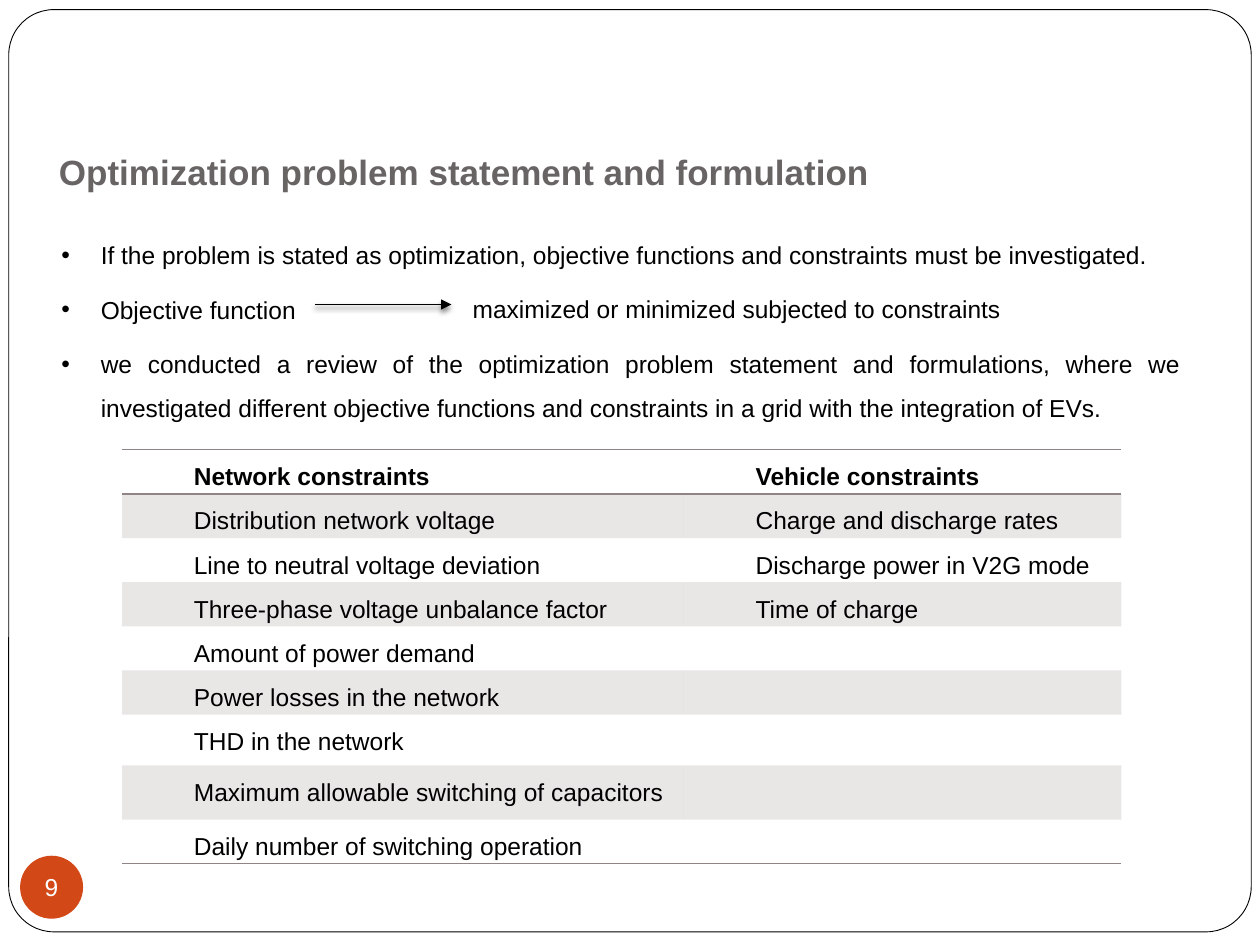
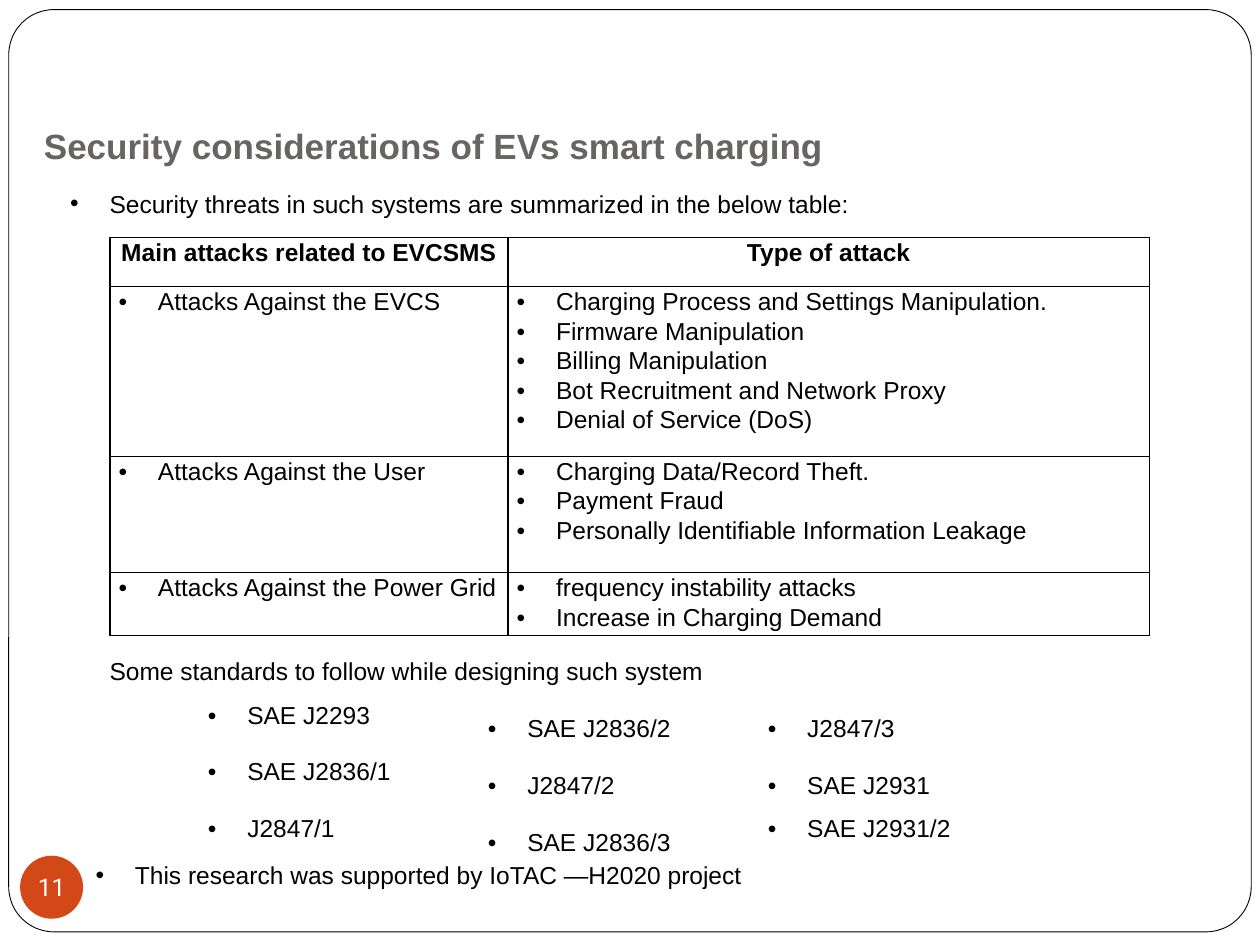
from lxml.etree import SubElement
from pptx import Presentation
from pptx.dml.color import RGBColor
from pptx.enum.shapes import MSO_CONNECTOR as Connector, MSO_SHAPE as Shape
from pptx.enum.text import MSO_ANCHOR as Anchor, MSO_AUTO_SIZE as AutoSize, PP_ALIGN as Align
from pptx.oxml.ns import qn
from pptx.util import Pt

COLORS = {"black": "000000", "white": "FFFFFF", "badge": "D34817",
          "title": "696464", "rule": "918485"}
NO_STYLE = "{2D5ABB26-0587-4C30-8999-92F81FD0307C}"
HANG = 22.5

OPTIMIZATION = {
    "number": "9", "number_font": "Arial",
    "title": "Optimization problem statement and formulation",
    "title_at": (-9.4, 70.6, 633, 39),
    "points": [
        "If the problem is stated as optimization, objective functions and "
        "constraints must be investigated.",
        "Objective function",
        "we conducted a review of the optimization problem statement and formulations, "
        "where we investigated different objective functions and constraints in a grid "
        "with the integration of EVs.",
    ],
    "goal": "maximized or minimized subjected to constraints",
    "constraints": [
        ("Network constraints", "Vehicle constraints"),
        ("Distribution network voltage", "Charge and discharge rates"),
        ("Line to neutral voltage deviation", "Discharge power in V2G mode"),
        ("Three-phase voltage unbalance factor", "Time of charge"),
        ("Amount of power demand", ""),
        ("Power losses in the network", ""),
        ("THD in the network", ""),
        ("Maximum allowable switching of capacitors", ""),
        ("Daily number of switching operation", ""),
    ],
}
SECURITY = {
    "number": "11", "number_font": "Roboto",
    "title": "Security considerations of EVs smart charging",
    "title_at": (-18, 55.4, 531, 39),
    "intro": "Security threats in such systems are summarized in the below table:",
    "attack_header": ("Main attacks related to EVCSMS", "Type of attack"),
    "attacks": [
        ("Attacks Against the EVCS",
         ["Charging Process and Settings Manipulation.", "Firmware Manipulation",
          "Billing Manipulation", "Bot Recruitment and Network Proxy",
          "Denial of Service (DoS)"]),
        ("Attacks Against the User",
         ["Charging Data/Record Theft.", "Payment Fraud",
          "Personally Identifiable Information Leakage"]),
        ("Attacks Against the Power Grid",
         ["frequency instability attacks", "Increase in Charging Demand"]),
    ],
    "standards_intro": "Some standards to follow while designing such system",
    "standards": [
        ("SAE J2293", "SAE J2836/2", "J2847/3"),
        ("SAE J2836/1", "J2847/2", "SAE J2931"),
        ("J2847/1", "SAE J2836/3", "SAE J2931/2"),
    ],
    "support": "This research was supported by IoTAC —H2020 project",
}
BODY = {"align": Align.JUSTIFY, "spacing": 1.5, "after": 6}


def rgb(name):
    return RGBColor.from_string(COLORS[name])


def write(frame, lines, size=14, font="Arial", color="black", bold=False, align=Align.LEFT,
          spacing=1.0, after=0, bullet=False, left=0, first=0):
    """Fill a text frame with one paragraph per line."""
    for index, line in enumerate([lines] if isinstance(lines, str) else lines):
        para = frame.paragraphs[0] if index == 0 else frame.add_paragraph()
        props = para._p.get_or_add_pPr()
        props.set("marL", str(Pt(HANG if bullet else left)))
        props.set("indent", str(Pt(-HANG if bullet else first)))
        if bullet:
            SubElement(props, qn("a:buFont"), typeface="Arial")
            SubElement(props, qn("a:buChar"), char="•")
        para.alignment = align
        para.line_spacing = spacing
        para.space_after = Pt(after)
        span = para.add_run()
        span.text = line
        span.font.size = Pt(size)
        span.font.name = font
        span.font.bold = bold
        span.font.color.rgb = rgb(color)


def add_text(page, place, lines, **style):
    box = page.shapes.add_textbox(*map(Pt, place))
    box.text_frame.word_wrap = True
    box.text_frame.auto_size = AutoSize.SHAPE_TO_FIT_TEXT
    write(box.text_frame, lines, **style)


def add_plain_shape(page, kind, place, fill):
    shape = page.shapes.add_shape(kind, *map(Pt, place))
    shape.shadow.inherit = False
    shape.fill.solid()
    shape.fill.fore_color.rgb = rgb(fill)
    shape.line.fill.background()
    return shape


def add_page(deck, content):
    """Add a slide with the frame, number badge and title that all slides share."""
    page = deck.slides.add_slide(deck.slide_layouts[6])
    border = add_plain_shape(page, Shape.ROUNDED_RECTANGLE, (5, 5.5, 710, 527), "white")
    border.adjustments[0] = 0.049
    border.line.color.rgb = rgb("black")
    border.line.width = Pt(0.5)
    badge = add_plain_shape(page, Shape.OVAL, (11.5, 489, 36, 36), "badge")
    frame = badge.text_frame
    frame.margin_left = frame.margin_right = frame.margin_top = frame.margin_bottom = 0
    frame.vertical_anchor = Anchor.MIDDLE
    frame.word_wrap = False
    write(frame, content["number"], font=content["number_font"], color="white",
          align=Align.CENTER)
    add_text(page, content["title_at"], content["title"], size=20, bold=True, color="title",
             align=Align.JUSTIFY, spacing=1.5, after=3, left=36)
    return page


def add_grid(page, left, top, widths, heights, tight=True):
    """Add an unstyled table; tight cells have small side margins only."""
    holder = page.shapes.add_table(len(heights), len(widths), Pt(left), Pt(top),
                                   Pt(sum(widths)), Pt(sum(heights)))
    table = holder.table
    table.first_row = table.horz_banding = False
    table._tbl.tblPr.find(qn("a:tableStyleId")).text = NO_STYLE
    for column, width in zip(table.columns, widths):
        column.width = Pt(width)
    for row, height in zip(table.rows, heights):
        row.height = Pt(height)
    for cell in table.iter_cells():
        cell.fill.background()
        if tight:
            cell.margin_left = cell.margin_right = Pt(5)
            cell.margin_top = cell.margin_bottom = 0
    return table


def rule_cell(cell, sides, color):
    """Draw 1 pt borders on the given sides, a string of L, R, T and B in that order."""
    props = cell._tc.get_or_add_tcPr()
    for position, side in enumerate(sides):
        line = props.makeelement(qn(f"a:ln{side}"), {"w": str(Pt(1))})
        SubElement(SubElement(line, qn("a:solidFill")), qn("a:srgbClr"), val=COLORS[color])
        props.insert(position, line)


def shade_cell(cell):
    cell.fill.solid()
    cell.fill.fore_color.rgb = rgb("rule")
    tint = cell._tc.tcPr.find(".//" + qn("a:solidFill") + "/" + qn("a:srgbClr"))
    SubElement(tint, qn("a:alpha"), val="20000")


def add_arrow(page, start, end, y):
    arrow = page.shapes.add_connector(Connector.STRAIGHT, Pt(start), Pt(y), Pt(end), Pt(y))
    arrow.line.color.rgb = rgb("black")
    arrow.line.width = Pt(1)
    SubElement(arrow.line._get_or_add_ln(), qn("a:tailEnd"), type="triangle")
    effects = SubElement(arrow._element.spPr, qn("a:effectLst"))
    shadow = SubElement(effects, qn("a:outerShdw"), blurRad=str(Pt(3)), dist=str(Pt(2)),
                        dir="5400000", rotWithShape="0")
    SubElement(SubElement(shadow, qn("a:srgbClr"), val=COLORS["black"]),
               qn("a:alpha"), val="50000")


def build_optimization(deck):
    content = OPTIMIZATION
    page = add_page(deck, content)
    add_text(page, (28, 125.3, 654, 118), content["points"], bullet=True, **BODY)
    add_text(page, (263, 156.3, 400, 32), content["goal"], **BODY)

    rows = content["constraints"]
    heights = [25.2] * 6 + [29, 31, 25.2]
    table = add_grid(page, 69.8, 257, (321, 250), heights)
    last = len(rows) - 1
    for index, row in enumerate(rows):
        for column, label in enumerate(row):
            cell = table.cell(index, column)
            if label:
                write(cell.text_frame, label, bold=index == 0, align=Align.JUSTIFY,
                      spacing=1.5, after=12, first=36)
            if index in (0, last):
                rule_cell(cell, "TB" if index == 0 else "B", "rule")
            if index % 2:
                shade_cell(cell)
    add_arrow(page, 180, 258, 174)


def build_security(deck):
    content = SECURITY
    page = add_page(deck, content)
    add_text(page, (33, 95.8, 636, 30), content["intro"], bullet=True, **BODY)

    attacks = add_grid(page, 62.8, 135.8, (227.5, 366.5), (28, 97, 66.5, 36))
    for index, row in enumerate([content["attack_header"], *content["attacks"]]):
        header = index == 0
        for column, lines in enumerate(row):
            cell = attacks.cell(index, column)
            write(cell.text_frame, lines, bold=header, bullet=not header, spacing=1.07,
                  align=Align.CENTER if header else Align.LEFT)
            rule_cell(cell, "LRTB", "black")

    add_text(page, (19.5, 363, 636, 30), content["standards_intro"], first=36, **BODY)
    standards = add_grid(page, 111.6, 397.4, [160] * 3, [32.5] * 3, tight=False)
    for index, row in enumerate(content["standards"]):
        for column, name in enumerate(row):
            single = column == 0 or (index, column) == (2, 2)
            write(standards.cell(index, column).text_frame, name, bullet=True,
                  **({} if single else BODY))
    add_text(page, (47.5, 479.5, 636, 30), content["support"], bullet=True, **BODY)


def main():
    deck = Presentation()
    deck.slide_width, deck.slide_height = Pt(720), Pt(540)
    build_optimization(deck)
    build_security(deck)
    deck.save("out.pptx")


if __name__ == "__main__":
    main()
